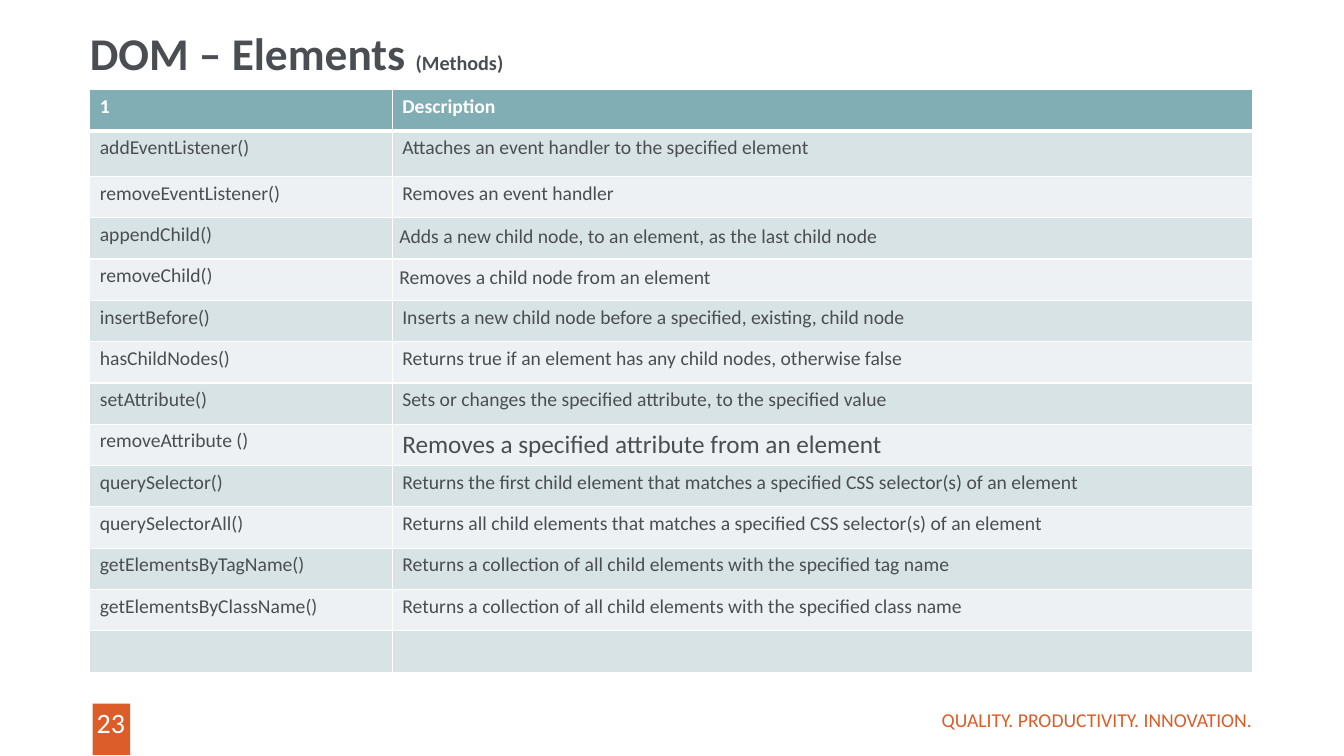
import pptx
import pptx.util
import pptx.dml.color
import pptx.enum.shapes
import pptx.enum.text
import pptx.oxml
import pptx.oxml.ns
from pptx.util import Inches

RGBColor = pptx.dml.color.RGBColor
PP_ALIGN = pptx.enum.text.PP_ALIGN
MSO_ANCHOR = pptx.enum.text.MSO_ANCHOR

WHITE = RGBColor(0xFF, 0xFF, 0xFF)
INK = RGBColor(0x4A, 0x4E, 0x52)
ORANGE = RGBColor(0xDC, 0x5D, 0x2A)
TEAL = RGBColor(0x81, 0xAD, 0xB5)
BAND_DARK = RGBColor(0xD8, 0xE3, 0xE5)
BAND_LIGHT = RGBColor(0xED, 0xF1, 0xF3)

METHODS = [
    ("1", "Description"),
    ("addEventListener()", "Attaches an event handler to the specified element"),
    ("removeEventListener()", "Removes an event handler"),
    ("appendChild()", "Adds a new child node, to an element, as the last child node"),
    ("removeChild()", "Removes a child node from an element"),
    ("insertBefore()", "Inserts a new child node before a specified, existing, child node"),
    ("hasChildNodes()", "Returns true if an element has any child nodes, otherwise false"),
    ("setAttribute()", "Sets or changes the specified attribute, to the specified value"),
    ("removeAttribute ()", "Removes a specified attribute from an element"),
    ("querySelector()", "Returns the first child element that matches a specified CSS selector(s) of an element"),
    ("querySelectorAll()", "Returns all child elements that matches a specified CSS selector(s) of an element"),
    ("getElementsByTagName()", "Returns a collection of all child elements with the specified tag name"),
    ("getElementsByClassName()", "Returns a collection of all child elements with the specified class name"),
    ("", ""),
]
PADDED = {"appendChild()", "removeChild()"}
LARGE = {"removeAttribute ()"}


def add_run(p, text, size, color, bold=False):
    r = p.add_run()
    r.text = text
    r.font.name = "Calibri"
    r.font.size = pptx.util.Pt(size)
    r.font.color.rgb = color
    r.font.bold = bold


def add_text(s, left, top, width, height, align, anchor=MSO_ANCHOR.TOP):
    tf = s.shapes.add_textbox(Inches(left), Inches(top), Inches(width), Inches(height)).text_frame
    tf.word_wrap = True
    tf.vertical_anchor = anchor
    tf.margin_left = tf.margin_right = tf.margin_top = tf.margin_bottom = 0
    tf.paragraphs[0].alignment = align
    return tf


prs = pptx.Presentation()
prs.slide_width = Inches(13.33)
prs.slide_height = Inches(7.5)
s = prs.slides.add_slide(prs.slide_layouts[6])

# Page number on its orange tab
tab = s.shapes.add_shape(pptx.enum.shapes.MSO_SHAPE.RECTANGLE,
                         Inches(0.92), Inches(6.98), Inches(0.37), Inches(0.51))
tab.shadow.inherit = False
tab.fill.solid()
tab.fill.fore_color.rgb = ORANGE
tab.line.fill.background()
tf = add_text(s, 0.86, 7, 0.48, 0.34, PP_ALIGN.CENTER)
add_run(tf.paragraphs[0], "23", 20, WHITE)

# Title
tf = add_text(s, 0.89, 0.26, 9.31, 0.59, PP_ALIGN.LEFT)
tf.margin_top = tf.margin_bottom = Inches(0.05)
p = tf.paragraphs[0]
p.line_spacing = 0.9
add_run(p, "DOM – Elements ", 32.4, INK, True)
add_run(p, "(Methods)", 14.4, INK, True)

# Footer motto
tf = add_text(s, 8.35, 6.94, 4.07, 0.4, PP_ALIGN.RIGHT, MSO_ANCHOR.MIDDLE)
add_run(tf.paragraphs[0], "QUALITY. PRODUCTIVITY. INNOVATION.", 14, ORANGE)

# Table of methods
table = s.shapes.add_table(len(METHODS), 2, Inches(0.89), Inches(0.89),
                           Inches(11.53), Inches(5.72)).table
table.columns[0].width = Inches(3)
table.columns[1].width = Inches(8.53)

for i, method in enumerate(METHODS):
    table.rows[i].height = Inches(0.45 if i == 1 else 0.41)
    header = i == 0
    band = TEAL if header else BAND_DARK if i % 2 else BAND_LIGHT
    for j, text in enumerate(method):
        cell = table.cell(i, j)

        # White borders, thick below the header
        tcPr = cell._tc.get_or_add_tcPr()
        for side in "LRTB":
            thick = (i, side) in {(0, "B"), (1, "T")}
            tcPr.append(pptx.oxml.parse_xml(
                f'<a:ln{side} {pptx.oxml.ns.nsdecls("a")} w="{pptx.util.Pt(3 if thick else 1)}">'
                f'<a:solidFill><a:srgbClr val="{WHITE}"/></a:solidFill></a:ln{side}>'))
        cell.fill.solid()
        cell.fill.fore_color.rgb = band

        if j == 1 and method[0] in PADDED:
            cell.margin_left = cell.margin_right = Inches(0.07)
            cell.margin_top = cell.margin_bottom = Inches(0.07)
        p = cell.text_frame.paragraphs[0]
        if text:
            size = 18 if j == 1 and method[0] in LARGE else 14
            add_run(p, text, size, WHITE if header else INK, header)
        else:
            p.font.size = pptx.util.Pt(14)

prs.save("out.pptx")
